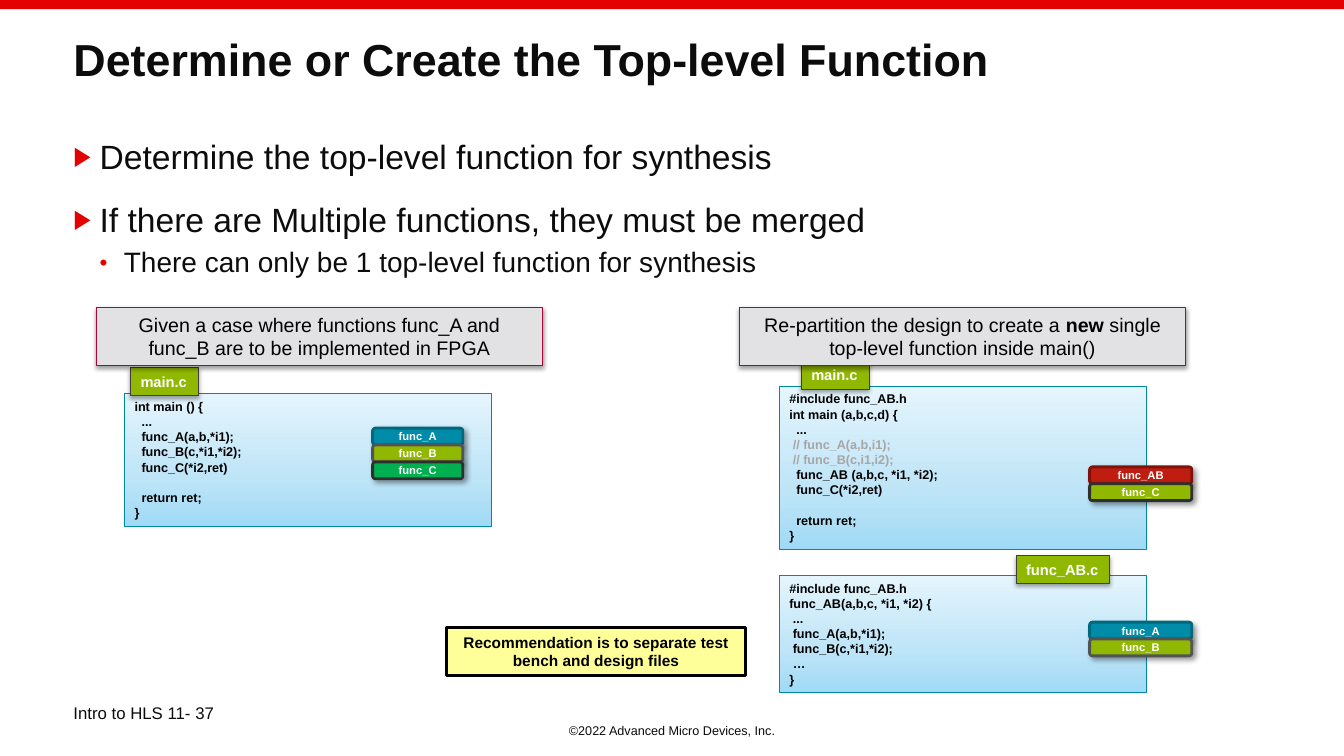
from lxml.etree import SubElement
from pptx import Presentation
from pptx.dml.color import RGBColor
from pptx.enum.shapes import MSO_SHAPE
from pptx.enum.text import MSO_ANCHOR, PP_ALIGN
from pptx.oxml import parse_xml
from pptx.oxml.ns import nsdecls, qn
from pptx.util import Pt

FONT = "Arial"
WHITE = RGBColor(0xFF, 0xFF, 0xFF)
BLACK = RGBColor(0, 0, 0)
INK = RGBColor(0x0C, 0x0C, 0x0C)
RED = RGBColor(0xE2, 0, 0)
MUTED = RGBColor(0xA6, 0xA6, 0xA6)
TEAL = RGBColor(0x00, 0x8C, 0xA8)
DARK_TEAL = RGBColor(0x00, 0x68, 0x7C)
PANEL_LINE = RGBColor(0x00, 0x89, 0xA4)
LIME = RGBColor(0x91, 0xB8, 0x00)
GREEN = RGBColor(0x00, 0xB0, 0x50)
BRICK = RGBColor(0xBF, 0x1D, 0x0F)
DARK_BRICK = RGBColor(0x7F, 0x13, 0x0A)
GRAY = RGBColor(0x51, 0x53, 0x57)
CHARCOAL = RGBColor(0x2F, 0x2F, 0x2F)
TAB_LINE = RGBColor(0x3E, 0x3E, 0x3E)
CRIMSON = RGBColor(0xB2, 0x04, 0x35)
SILVER = RGBColor(0xE2, 0xE2, 0xE4)
YELLOW = RGBColor(0xFF, 0xFF, 0x99)
PANEL_STOPS = [(0, RGBColor(0xA0, 0xDA, 0xF6)), (35, RGBColor(0xBD, 0xE4, 0xF7)),
               (100, RGBColor(0xE5, 0xF5, 0xFD))]
CODE_LINE = 10.9

MAIN_BEFORE = """int main () {
  ...
  func_A(a,b,*i1);
  func_B(c,*i1,*i2);
  func_C(*i2,ret)

  return ret;
}"""
MAIN_AFTER = """#include func_AB.h
int main (a,b,c,d) {
  ...
 // func_A(a,b,i1);
 // func_B(c,i1,i2);
  func_AB (a,b,c, *i1, *i2);
  func_C(*i2,ret)

  return ret;
}"""
FUNC_AB = """#include func_AB.h
func_AB(a,b,c, *i1, *i2) {
 ...
 func_A(a,b,*i1);
 func_B(c,*i1,*i2);
 …
}"""


def add_run(p, text, size, color=BLACK, bold=False):
    r = p.add_run()
    r.text = text
    r.font.name, r.font.size, r.font.bold = FONT, Pt(size), bold
    r.font.color.rgb = color


def text_box(s, box):
    tf = s.shapes.add_textbox(*map(Pt, box)).text_frame
    tf.word_wrap = True
    return tf


def one_line(s, box, text, size, bold=False, align=PP_ALIGN.LEFT):
    p = text_box(s, box).paragraphs[0]
    p.alignment = align
    add_run(p, text, size, INK, bold)
    return p


def add_box(s, box, fill=None, line=None, width=0.75, kind=MSO_SHAPE.RECTANGLE):
    sp = s.shapes.add_shape(kind, *map(Pt, box))
    sp.shadow.inherit = False
    if fill is not None:
        sp.fill.solid()
        sp.fill.fore_color.rgb = fill
    if line is None:
        sp.line.fill.background()
    else:
        sp.line.color.rgb = line
        sp.line.width = Pt(width)
    tf = sp.text_frame
    tf.word_wrap = True
    tf.vertical_anchor = MSO_ANCHOR.TOP
    tf.paragraphs[0].alignment = PP_ALIGN.LEFT
    return sp


def add_shadow(sp, alpha, blur, dist, angle):
    effects = sp._element.spPr.find(qn("a:effectLst"))
    shadow = SubElement(effects, qn("a:outerShdw"), blurRad=str(Pt(blur)), dist=str(Pt(dist)),
                        dir=str(angle * 60000), algn="tl", rotWithShape="0")
    color = SubElement(shadow, qn("a:srgbClr"), val=str(BLACK))
    SubElement(color, qn("a:alpha"), val=str(alpha * 1000))


def add_gradient(sp, stops):
    """Fill a shape with stops that run from bottom to top."""
    stops_xml = "".join(f'<a:gs pos="{pos * 1000}"><a:srgbClr val="{color}"/></a:gs>'
                        for pos, color in stops)
    sp._element.spPr.find(qn("a:prstGeom")).addnext(parse_xml(
        f'<a:gradFill {nsdecls("a")} rotWithShape="1"><a:gsLst>{stops_xml}</a:gsLst>'
        '<a:lin ang="16200000" scaled="1"/></a:gradFill>'))


def add_bullet(p, mark, left, hanging):
    pPr = p._p.get_or_add_pPr()
    pPr.set("marL", str(Pt(left)))
    pPr.set("indent", str(-Pt(hanging)))
    SubElement(SubElement(pPr, qn("a:buClr")), qn("a:srgbClr"), val=str(RED))
    SubElement(pPr, qn("a:buSzPct"), val="80000")
    SubElement(pPr, qn("a:buFont"), typeface=FONT)
    SubElement(pPr, qn("a:buChar"), char=mark)


def bullet_list(s, box):
    tf = text_box(s, box)
    items = [("Determine the top-level function for synthesis", 0),
             ("If there are Multiple functions, they must be merged", 0),
             ("There can only be 1 top-level function for synthesis", 1)]
    for i, (text, level) in enumerate(items):
        p = tf.add_paragraph() if i else tf.paragraphs[0]
        if level:
            p.level, p.line_spacing = level, 0.95
        if i:
            p.space_before = Pt(6 if level else 16)
        add_bullet(p, *(("•", 36, 17.3) if level else ("▶", 18.7, 18.7)))
        add_run(p, text, 20 if level else 24, INK)


def caption(s, box, parts, line):
    """Draw a grey heading from (text, bold) parts."""
    sp = add_box(s, box, SILVER, line)
    add_shadow(sp, 38, 3.1, 1.6, 90)
    p = sp.text_frame.paragraphs[0]
    p.alignment = PP_ALIGN.CENTER
    for text, bold in parts:
        add_run(p, text, 14, bold=bold)


def code_block(s, box, code):
    sp = add_box(s, box, line=PANEL_LINE)
    add_gradient(sp, PANEL_STOPS)
    tf = sp.text_frame
    gap = 0
    for i, text in enumerate(code.split("\n")):
        if not text:
            gap = CODE_LINE
            continue
        p = tf.add_paragraph() if i else tf.paragraphs[0]
        p.alignment = PP_ALIGN.LEFT
        if gap:
            p.space_before = Pt(gap)
            gap = 0
        add_run(p, text, 9, MUTED if text.lstrip().startswith("//") else BLACK, True)


def chip_stack(s, x, y, w, chips):
    pitch = 12.1
    for i, (name, fill, line) in enumerate(chips):
        sp = add_box(s, (x, y + i * pitch, w, 12), fill, line, 2, MSO_SHAPE.ROUNDED_RECTANGLE)
        add_shadow(sp, 40, 4, 3, 45)
        tf = sp.text_frame
        tf.vertical_anchor = MSO_ANCHOR.MIDDLE
        p = tf.paragraphs[0]
        p.alignment = PP_ALIGN.CENTER
        add_run(p, name, 8, WHITE, True)


def file_panel(s, box, code, tab, chips_at, chips):
    """Draw a source file; tab is (name, dx, dy, width) and chips_at is (dx, dy, width)."""
    x, y = box[:2]
    code_block(s, box, code)
    dx, dy, w = chips_at
    chip_stack(s, x + dx, y + dy, w, chips)
    name, dx, dy, w = tab
    sp = add_box(s, (x + dx, y + dy, w, 20.2), LIME, TAB_LINE)
    add_shadow(sp, 35, 3.1, 1.8, 90)
    sp.text_frame.word_wrap = False
    add_run(sp.text_frame.paragraphs[0], name, 10.5, WHITE, True)


def recommendation(s, box):
    p = add_box(s, box, YELLOW, BLACK, 2.25).text_frame.paragraphs[0]
    p.alignment = PP_ALIGN.CENTER
    add_run(p, "Recommendation is to separate test bench and design files", 11, bold=True)


def main():
    prs = Presentation()
    prs.slide_width, prs.slide_height = Pt(960), Pt(540)
    s = prs.slides.add_slide(prs.slide_layouts[6])
    one_line(s, (0, 512.6, 960, 18), "©2022 Advanced Micro Devices, Inc.", 9,
             align=PP_ALIGN.CENTER)
    add_box(s, (0, 0, 960, 6.6), RED)
    title = one_line(s, (45.4, 23.8, 869, 77), "Determine or Create the Top-level Function", 32, True)
    title.line_spacing = 0.9
    bullet_list(s, (45.4, 93.6, 869, 365))
    one_line(s, (45.4, 498.2, 173.5, 28.8), "Intro to HLS 11- 37", 12)

    func_a, func_b = ("func_A", TEAL, DARK_TEAL), ("func_B", LIME, GRAY)
    file_panel(s, (89, 281.4, 262, 94.4), MAIN_BEFORE, ("main.c", 4.3, -18.8, 48.4),
               (177.2, 24.4, 64.4), [func_a, func_b, ("func_C", GREEN, CHARCOAL)])
    file_panel(s, (556.7, 411.1, 262, 83.5), FUNC_AB, ("func_AB.c", 169.2, -14.4, 67),
               (221.6, 33.3, 73), [func_a, func_b])
    file_panel(s, (556.7, 276, 262, 116.6), MAIN_AFTER, ("main.c", 15.7, -18.2, 48.4),
               (221.6, 57.5, 73), [("func_AB", BRICK, DARK_BRICK), ("func_C", LIME, CHARCOAL)])
    caption(s, (69, 219.6, 318.5, 41.2),
            [("Given a case where functions func_A and func_B are to be implemented in FPGA", False)],
            CRIMSON)
    caption(s, (528.3, 219.6, 318.5, 41.2),
            [("Re-partition the design to create a ", False), ("new", True),
             (" single top-level function inside main()", False)], TAB_LINE)
    recommendation(s, (318.8, 448.5, 214, 34))
    prs.save("out.pptx")


if __name__ == "__main__":
    main()
